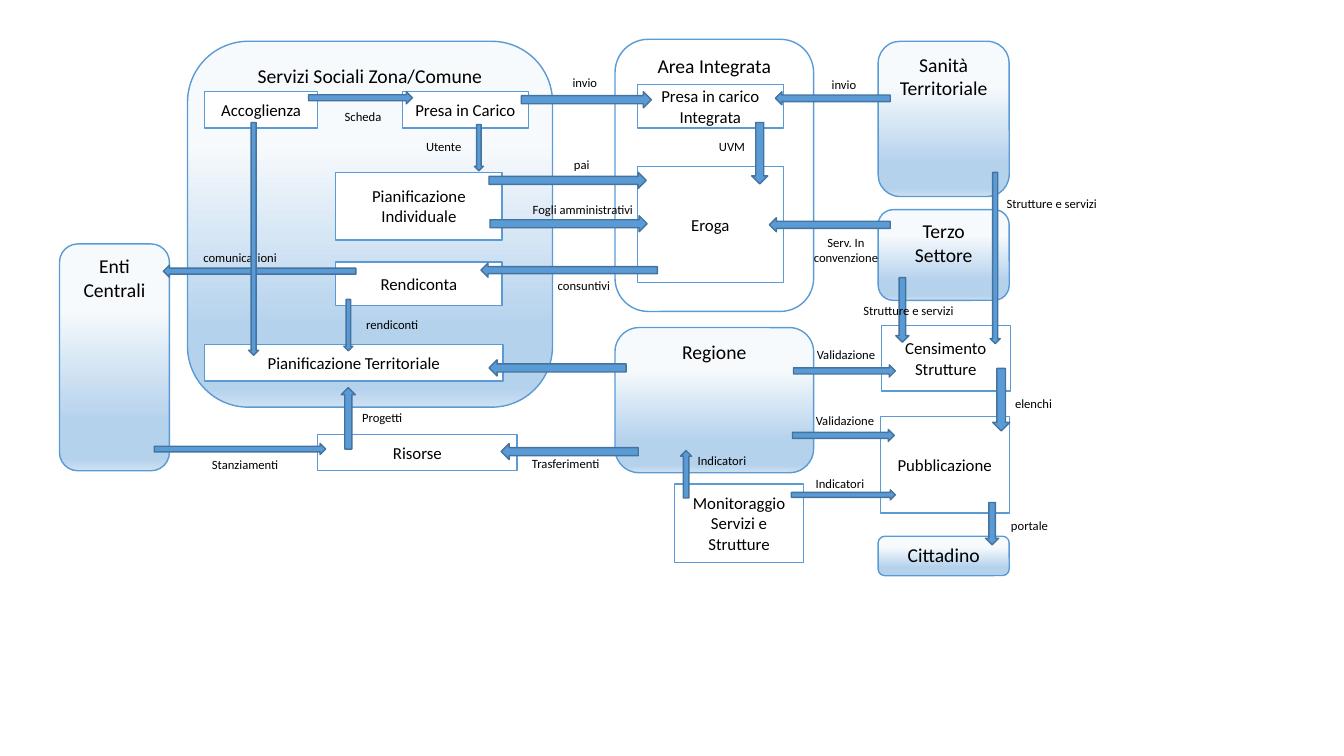
import dataclasses

import lxml.etree
import pptx
import pptx.dml.color
import pptx.enum.shapes
import pptx.enum.text
import pptx.oxml.ns
import pptx.util

SHAPES = pptx.enum.shapes.MSO_SHAPE
ANCHOR = pptx.enum.text.MSO_ANCHOR
RIGHT, DOWN, LEFT, UP = 0, 90, 180, 270


@dataclasses.dataclass(frozen=True)
class Theme:
    """Colours, type sizes and the layout module of the diagram."""
    font: str = "Calibri"
    text: str = "000000"
    paper: str = "FFFFFF"
    border: str = "5B9BD5"
    arrow: str = "5B9BD5"
    arrow_border: str = "43739E"
    gradient: tuple = ((28, "F7FAFD"), (78, "B5D2EC"), (95, "B5D2EC"), (100, "CEE1F2"))
    title_size: int = 14
    step_size: int = 12
    label_size: int = 9
    line_width: int = 1
    module_cm: float = 2.54


THEME = Theme()


@dataclasses.dataclass(frozen=True)
class Box:
    """A rectangle measured in layout modules."""
    left: float
    top: float
    width: float
    height: float

    def inner(self, left, top, width=1.12, height=0.25):
        """Return a box placed relative to this one, caption-sized by default."""
        return Box(self.left + left, self.top + top, width, height)

    def lengths(self):
        """Return left, top, width and height as lengths."""
        return [pptx.util.Cm(value * THEME.module_cm) for value in dataclasses.astuple(self)]


def rgb(code):
    """Turn a hex code into a colour."""
    return pptx.dml.color.RGBColor.from_string(code)


def write(frame, lines, size):
    """Write centred paragraphs, with a line break at each newline."""
    frame.word_wrap = True
    for index, line in enumerate(lines):
        para = frame.paragraphs[0] if index == 0 else frame.add_paragraph()
        para.alignment = pptx.enum.text.PP_ALIGN.CENTER
        for number, words in enumerate(line.split("\n")):
            if number:
                para.add_line_break()
            span = para.add_run()
            span.text = words
            span.font.name = THEME.font
            span.font.size = pptx.util.Pt(size)
            span.font.color.rgb = rgb(THEME.text)


def add_outline(page, kind, box, fill, border):
    """Add a filled and outlined preset shape."""
    shape = page.shapes.add_shape(kind, *box.lengths())
    shape.shadow.inherit = False
    shape.fill.solid()
    shape.fill.fore_color.rgb = rgb(fill)
    shape.line.color.rgb = rgb(border)
    shape.line.width = pptx.util.Pt(THEME.line_width)
    return shape


def shade(shape):
    """Fill a shape with the vertical theme gradient."""
    shape.fill.gradient()
    shape.fill.gradient_angle = 270
    qn = pptx.oxml.ns.qn
    stops = next(shape.element.iter(qn("a:gsLst")))
    for stop in list(stops):
        stops.remove(stop)
    for percent, code in THEME.gradient:
        stop = lxml.etree.SubElement(stops, qn("a:gs"), pos=str(percent * 1000))
        lxml.etree.SubElement(stop, qn("a:srgbClr"), val=code)


def add_area(page, box, title, shaded=True):
    """Add a rounded area with its title at the top."""
    area = add_outline(page, SHAPES.ROUNDED_RECTANGLE, box, THEME.paper, THEME.border)
    if shaded:
        shade(area)
    area.text_frame.vertical_anchor = ANCHOR.TOP
    write(area.text_frame, [title], THEME.title_size)


def add_step(page, box, *lines):
    """Add a white process box."""
    step = add_outline(page, SHAPES.RECTANGLE, box, THEME.paper, THEME.border)
    step.text_frame.vertical_anchor = ANCHOR.MIDDLE
    write(step.text_frame, lines, THEME.step_size)


def add_label(page, box, text):
    """Add the small caption of a flow."""
    label = page.shapes.add_textbox(*box.lengths())
    write(label.text_frame, [text], THEME.label_size)
    label.text_frame.auto_size = pptx.enum.text.MSO_AUTO_SIZE.SHAPE_TO_FIT_TEXT


def social_services(page, box):
    """Draw the municipal social services and their steps."""
    add_area(page, box, "Servizi Sociali Zona/Comune")
    add_step(page, box.inner(2.13, 0.5, 1.25, 0.36), "Presa in Carico")
    add_step(page, box.inner(0.17, 0.5, 1.12, 0.36), "Accoglienza")
    add_step(page, box.inner(1.47, 1.3, 1.65, 0.67), "Pianificazione\nIndividuale")
    add_step(page, box.inner(1.47, 2.19, 1.65, 0.43), "Rendiconta")
    add_step(page, box.inner(0.17, 3.01, 2.96, 0.36), "Pianificazione Territoriale")


def integrated_area(page, box):
    """Draw the integrated area and its two steps."""
    add_area(page, box, "Area Integrata", shaded=False)
    add_step(page, box.inner(0.22, 0.45, 1.45, 0.43), "Presa in carico Integrata")
    add_step(page, box.inner(0.22, 1.26, 1.45, 1.15), "Eroga")


def regional_government(page, box):
    """Draw the region and the monitoring below it."""
    add_area(page, box.inner(0, 0, box.width, 1.44), "Regione")
    add_step(page, box.inner(0.59, 1.55, 1.28, 0.78), "Monitoraggio", "Servizi e Strutture")


def providers(page, box):
    """Draw the column from health services down to the citizen."""
    add_area(page, box.inner(0, 0, box.width, 1.54), "Sanità Territoriale")
    add_area(page, box.inner(0, 1.67, box.width, 0.9), "Terzo Settore")
    add_step(page, box.inner(0.03, 2.82, 1.28, 0.65), "Censimento", "Strutture")
    add_step(page, box.inner(0.02, 3.72, 1.28, 0.96), "Pubblicazione")
    add_area(page, box.inner(0, 4.91, box.width, 0.39), "Cittadino")


def funding(page, box):
    """Draw the central bodies and the resources."""
    add_area(page, box.inner(0, 0, 1.09, box.height), "Enti Centrali")
    add_step(page, box.inner(2.56, 1.89, 1.98, 0.36), "Risorse")


def flows(page, box):
    """Draw each arrow, given before its turn, followed by its caption."""
    table = (
        (RIGHT, (3.06, 0.91, 1.03, 0.12), "Scheda", (3.04, 1.03)),
        (DOWN, (4.52, 1.42, 0.46, 0.09), "Utente", (3.84, 1.33)),
        (RIGHT, (5.17, 0.91, 1.29, 0.16), "invio", (5.24, 0.69)),
        (LEFT, (7.69, 0.91, 1.14, 0.13), "invio", (7.81, 0.71)),
        (DOWN, (7.23, 1.44, 0.61, 0.16), "UVM", (6.7, 1.33)),
        (RIGHT, (4.85, 1.71, 1.56, 0.16), "pai", (5.21, 1.51)),
        (RIGHT, (4.86, 2.14, 1.56, 0.16), "Fogli amministrativi", (4.99, 1.95, 1.58)),
        (LEFT, (7.63, 2.16, 1.2, 0.14), "Serv. In convenzione", (7.83, 2.28, 1.12, 0.4)),
        (LEFT, (4.77, 2.61, 1.75, 0.14), "consuntivi", (5.23, 2.71)),
        (LEFT, (1.62, 2.63, 1.91, 0.12), "comunicazioni", (1.82, 2.43)),
        (DOWN, (3.2, 3.18, 0.51, 0.09), "rendiconti", (3.33, 3.09)),
        (LEFT, (4.85, 3.57, 1.36, 0.16), None, None),
        (LEFT, (4.97, 4.4, 1.36, 0.16), "Trasferimenti", (5.05, 4.47)),
        (RIGHT, (1.53, 4.4, 1.7, 0.11), "Stanziamenti", (1.87, 4.48)),
        (UP, (3.15, 4.08, 0.61, 0.14), "Progetti", (3.23, 4.02)),
        (DOWN, (9.02, 2.51, 1.7, 0.1), "Strutture e servizi", (9.87, 1.89)),
        (DOWN, (8.63, 3.01, 0.64, 0.13), "Strutture e servizi", (8.45, 2.96)),
        (RIGHT, (7.87, 3.62, 1.01, 0.12), "Validazione", (7.83, 3.39)),
        (RIGHT, (7.86, 4.26, 1.01, 0.12), "Validazione", (7.82, 4.05)),
        (UP, (6.57, 4.65, 0.47, 0.11), "Indicatori", (6.6, 4.44)),
        (RIGHT, (7.85, 4.86, 1.03, 0.1), "Indicatori", (7.77, 4.67)),
        (DOWN, (9.62, 3.88, 0.62, 0.17), "elenchi", (9.69, 3.88)),
        (DOWN, (9.63, 5.13, 0.42, 0.13), "portale", (9.65, 5.09)),
        (DOWN, (1.36, 2.32, 2.31, 0.1), None, None),
    )
    for turn, place, caption, spot in table:
        arrow = add_outline(page, SHAPES.RIGHT_ARROW, box.inner(*place), THEME.arrow, THEME.arrow_border)
        arrow.rotation = turn
        if caption:
            add_label(page, box.inner(*spot), caption)


def main():
    """Build the diagram slide and save it."""
    canvas = Box(0, 0, 13.33, 7.5)
    deck = pptx.Presentation()
    deck.slide_width, deck.slide_height = canvas.lengths()[2:]
    page = deck.slides.add_slide(deck.slide_layouts[6])
    integrated_area(page, canvas.inner(6.1, 0.39, 1.97, 2.7))
    regional_government(page, canvas.inner(6.1, 3.25, 1.97, 2.33))
    social_services(page, canvas.inner(1.86, 0.41, 3.62, 3.63))
    providers(page, canvas.inner(8.71, 0.41, 1.3, 5.3))
    funding(page, canvas.inner(0.59, 2.42, 4.54, 2.25))
    flows(page, canvas)
    deck.save("out.pptx")


if __name__ == "__main__":
    main()
